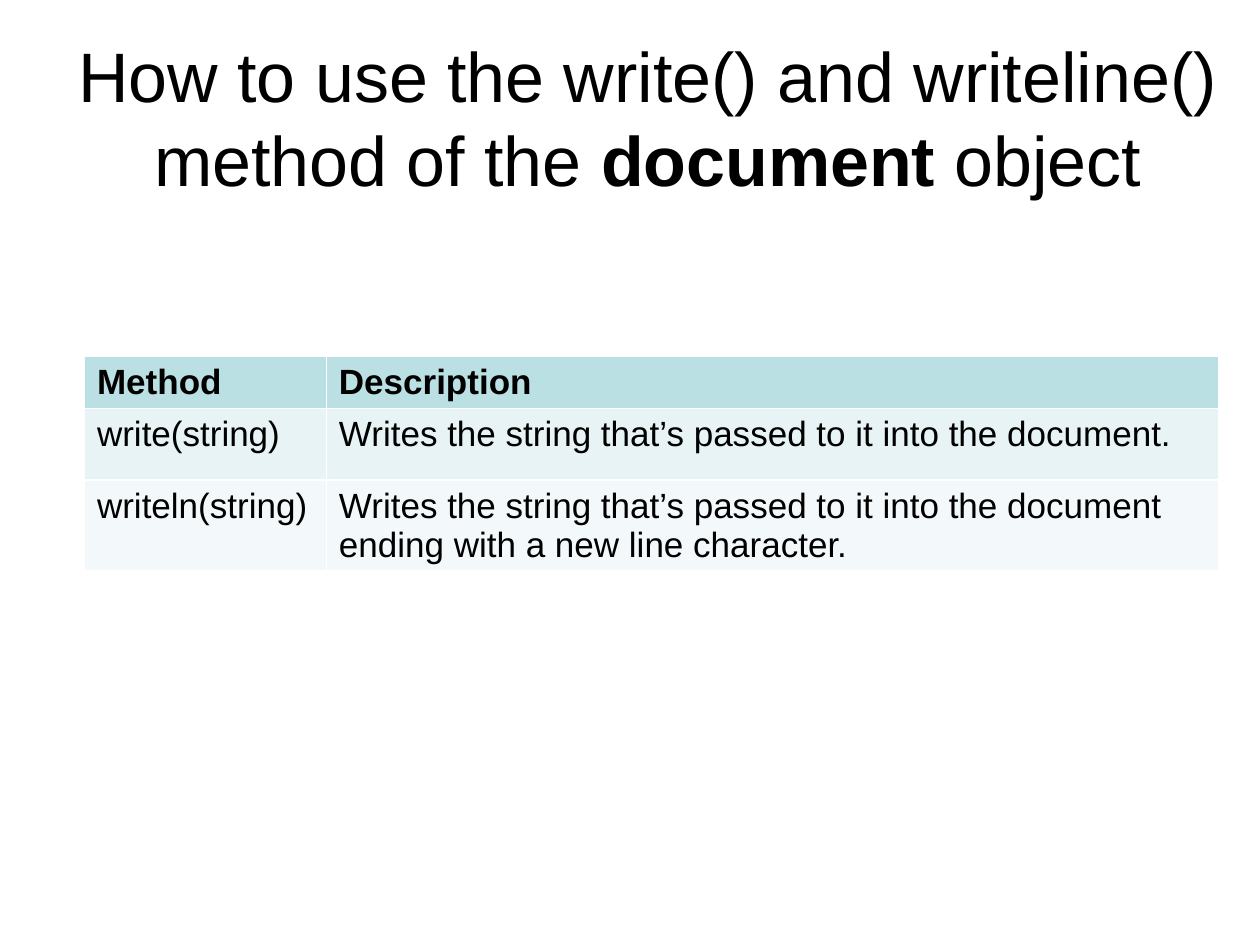
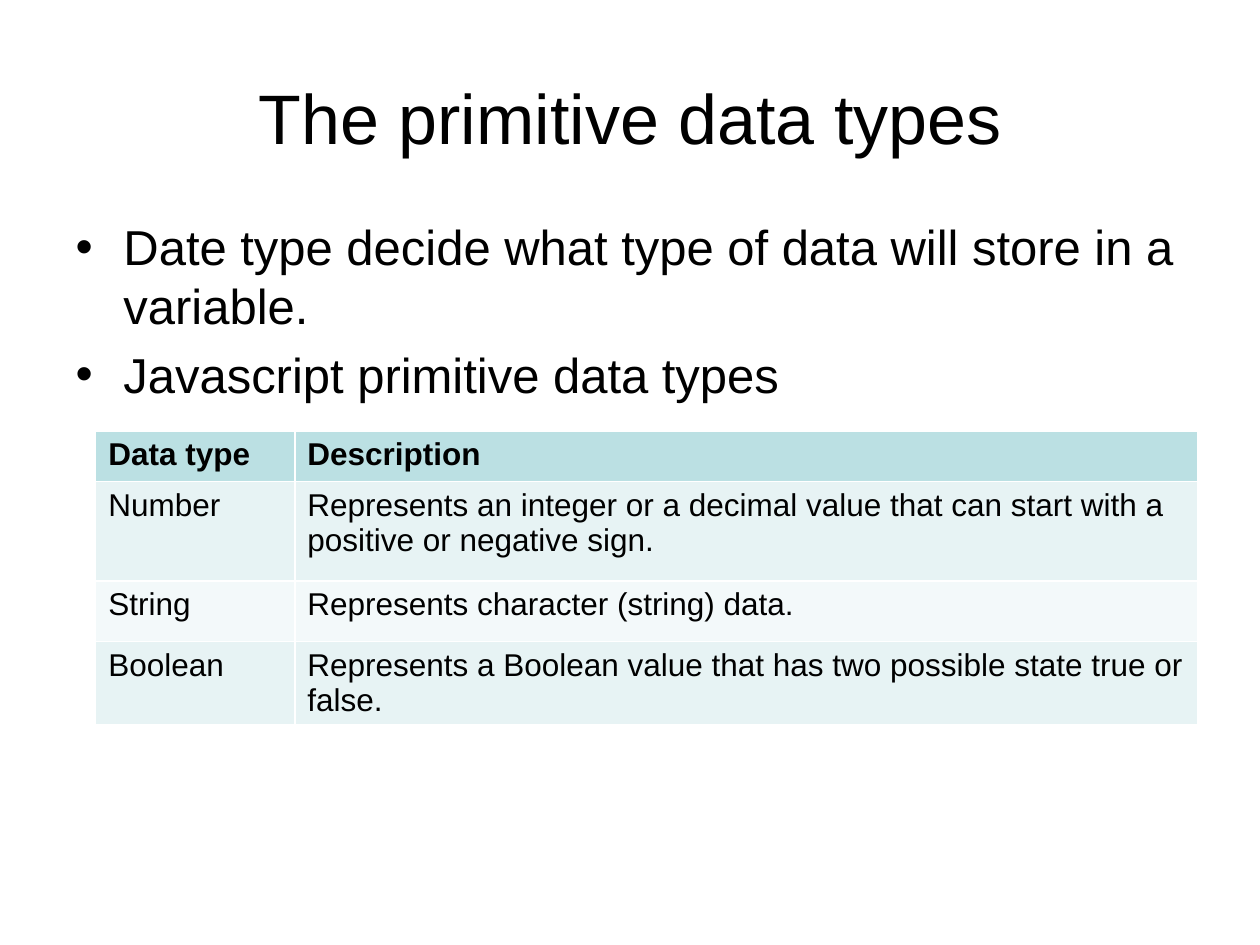
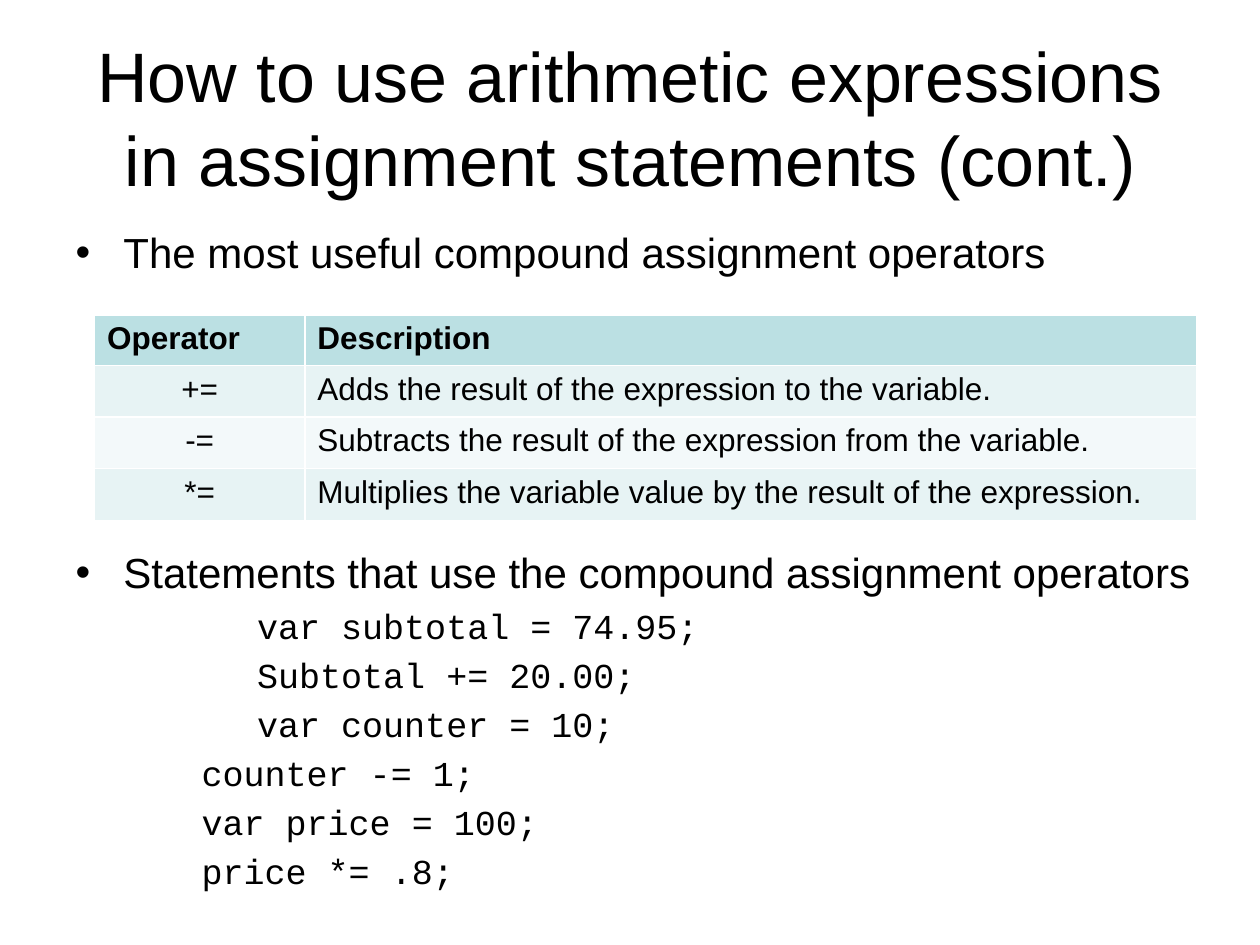
"""Build three slides about script output, data types and operators."""

from dataclasses import dataclass

from pptx import Presentation
from pptx.dml.color import RGBColor
from pptx.enum.text import MSO_ANCHOR, MSO_AUTO_SIZE, PP_ALIGN
from pptx.oxml.xmlchemy import OxmlElement
from pptx.util import Inches, Pt

BLACK = RGBColor(0x00, 0x00, 0x00)
WHITE = RGBColor(0xFF, 0xFF, 0xFF)
HEADER_FILL = RGBColor(0xBB, 0xE0, 0xE3)
ROW_FILLS = (RGBColor(0xE7, 0xF3, 0xF4), RGBColor(0xF3, 0xF9, 0xFA))
TEXT_FONT = "Arial"
CODE_FONT = "Courier New"
TITLE_SIZE = 40
LINE_FACTOR = 1.2
TITLE_AND_BODY = 1
TITLE_ONLY = 5


@dataclass(frozen=True)
class Run:
    """A stretch of text that may be bold."""

    text: str
    bold: bool = False


@dataclass(frozen=True)
class Line:
    """A body paragraph, bulleted or set as code."""

    text: str
    size: float
    before: float = 0
    indent: float = 0.38
    is_code: bool = False


@dataclass(frozen=True)
class Grid:
    """A table with a header row and banded rows below it."""

    left: float
    top: float
    widths: tuple[float, ...]
    heights: tuple[float, ...]
    size: float
    rows: tuple[tuple[str, ...], ...]
    center_keys: bool = False


@dataclass(frozen=True)
class Page:
    """The content of one slide."""

    title: tuple[Run, ...]
    grid: Grid
    title_width: float = 9
    body_box: tuple[float, float, float, float] | None = None
    body_fill: RGBColor | None = None
    lines: tuple[Line, ...] = ()


def code(text: str, indent: float) -> Line:
    """Return a line of program code."""
    return Line(text, 20, before=4, indent=indent, is_code=True)


PAGES = (
    Page(
        title=(
            Run("How to use the write() and writeline() method of the "),
            Run("document", bold=True),
            Run(" object"),
        ),
        title_width=9.28,
        grid=Grid(
            0.67, 2.83, (1.92, 7.08), (0.4, 0.57, 0.71), 20,
            (
                ("Method", "Description"),
                ("write(string)",
                 "Writes the string that’s passed to it into the document."),
                ("writeln(string)",
                 "Writes the string that’s passed to it into the document "
                 "ending with a new line character."),
            ),
        ),
    ),
    Page(
        title=(Run("The primitive data types"),),
        body_box=(0.5, 1.67, 9, 4.95),
        lines=(
            Line("Date type decide what type of data will store in a variable.", 28),
            Line("Javascript primitive data types", 28, before=5.6),
        ),
        grid=Grid(
            0.76, 3.42, (1.58, 7.17), (0.4, 0.79, 0.48, 0.66), 18,
            (
                ("Data type", "Description"),
                ("Number",
                 "Represents an integer or a decimal value that can start "
                 "with a positive or negative sign."),
                ("String", "Represents character (string) data."),
                ("Boolean",
                 "Represents a Boolean value that has two possible state "
                 "true or false."),
            ),
        ),
    ),
    Page(
        title=(Run("How to use arithmetic expressions in assignment "
                   "statements (cont.)"),),
        body_box=(0.5, 1.75, 9.25, 5.75),
        body_fill=WHITE,
        lines=(
            Line("The most useful compound assignment operators", 24),
            Line("Statements that use the compound assignment operators", 24,
                 before=154),
            code("var subtotal = 74.95;", 1.44),
            code("Subtotal += 20.00;", 1.44),
            code("var counter = 10;", 1.44),
            code("counter -= 1;", 1),
            code("var price = 100;", 1),
            code("price *= .8;", 1),
        ),
        grid=Grid(
            0.75, 2.5, (1.67, 7.08), (0.4, 0.41, 0.41, 0.41), 18,
            (
                ("Operator", "Description"),
                ("+=", "Adds the result of the expression to the variable."),
                ("-=", "Subtracts the result of the expression from the variable."),
                ("*=", "Multiplies the variable value by the result of the "
                       "expression."),
            ),
            center_keys=True,
        ),
    ),
)


def style_font(font, size: float, name: str = TEXT_FONT, bold: bool = False) -> None:
    """Give a font its name, size, weight and the text colour."""
    font.name = name
    font.size = Pt(size)
    font.bold = bold
    font.color.rgb = BLACK


def place(shape, left: float, top: float, width: float, height: float) -> None:
    """Move and size a placeholder, and keep its text at full size."""
    shape.left, shape.top = Inches(left), Inches(top)
    shape.width, shape.height = Inches(width), Inches(height)
    shape.text_frame.word_wrap = True
    shape.text_frame.auto_size = MSO_AUTO_SIZE.NONE


def set_bullet(para, line: Line) -> None:
    """Indent a paragraph and give it a bullet unless it is code."""
    properties = para._p.get_or_add_pPr()
    hang = 0 if line.is_code else -line.indent
    properties.set("marL", str(Inches(line.indent)))
    properties.set("indent", str(Inches(hang)))
    bullet = OxmlElement("a:buNone" if line.is_code else "a:buChar")
    if not line.is_code:
        bullet.set("char", "•")
    properties.append(bullet)


def fill_title(shape, page: Page) -> None:
    """Write the centred slide title."""
    place(shape, 0.5, 0.3, page.title_width, 1.25)
    shape.text_frame.vertical_anchor = MSO_ANCHOR.MIDDLE
    para = shape.text_frame.paragraphs[0]
    para.alignment = PP_ALIGN.CENTER
    para.line_spacing = Pt(TITLE_SIZE * LINE_FACTOR)
    for run in page.title:
        span = para.add_run()
        span.text = run.text
        style_font(span.font, TITLE_SIZE, bold=run.bold)


def fill_body(shape, page: Page) -> None:
    """Write the bullets and code lines."""
    place(shape, *page.body_box)
    if page.body_fill is not None:
        shape.fill.solid()
        shape.fill.fore_color.rgb = page.body_fill
    frame = shape.text_frame
    frame.text = "\n".join(line.text for line in page.lines)
    for para, line in zip(frame.paragraphs, page.lines):
        para.space_before = Pt(line.before)
        para.line_spacing = Pt(line.size * LINE_FACTOR)
        set_bullet(para, line)
        style_font(para.runs[0].font, line.size,
                   CODE_FONT if line.is_code else TEXT_FONT)


def add_grid(slide, grid: Grid) -> None:
    """Add a table with a header and alternating row fills."""
    table = slide.shapes.add_table(
        len(grid.rows), len(grid.widths), Inches(grid.left), Inches(grid.top),
        Inches(sum(grid.widths)), Inches(sum(grid.heights)),
    ).table
    for column, width in zip(table.columns, grid.widths):
        column.width = Inches(width)
    for row_index, (row, height) in enumerate(zip(table.rows, grid.heights)):
        row.height = Inches(height)
        is_header = row_index == 0
        fill = HEADER_FILL if is_header else ROW_FILLS[(row_index - 1) % 2]
        for column_index, cell in enumerate(row.cells):
            cell.fill.solid()
            cell.fill.fore_color.rgb = fill
            cell.text_frame.text = grid.rows[row_index][column_index]
            para = cell.text_frame.paragraphs[0]
            if grid.center_keys and column_index == 0 and not is_header:
                para.alignment = PP_ALIGN.CENTER
            style_font(para.runs[0].font, grid.size, bold=is_header)


def add_page(deck, page: Page) -> None:
    """Add one slide with its title, optional body and table."""
    layout = TITLE_AND_BODY if page.lines else TITLE_ONLY
    slide = deck.slides.add_slide(deck.slide_layouts[layout])
    fill_title(slide.shapes.title, page)
    if page.lines:
        fill_body(slide.placeholders[1], page)
    add_grid(slide, page.grid)


def main() -> None:
    """Build and save the deck."""
    deck = Presentation()
    deck.slide_width, deck.slide_height = Inches(10), Inches(7.5)
    for page in PAGES:
        add_page(deck, page)
    deck.save("out.pptx")


if __name__ == "__main__":
    main()
